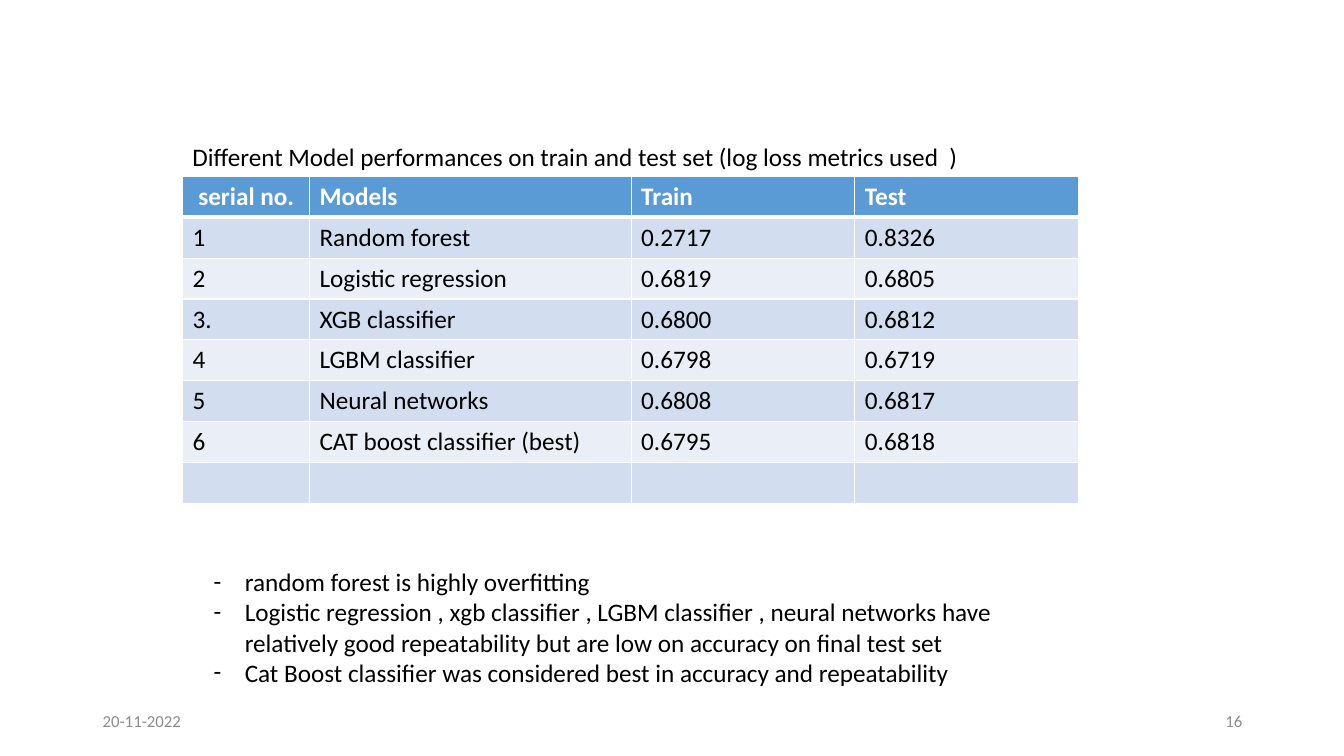
import pptx
import pptx.dml.color
import pptx.enum.text
import pptx.oxml.ns
import pptx.util
from lxml import etree

RGBColor = pptx.dml.color.RGBColor
WHITE = RGBColor(0xFF, 0xFF, 0xFF)
BLACK = RGBColor(0x00, 0x00, 0x00)
GREY = RGBColor(0x8C, 0x8C, 0x8C)
HEADER_BLUE = RGBColor(0x5B, 0x9B, 0xD5)
BAND_DARK = RGBColor(0xD2, 0xDE, 0xEF)
BAND_LIGHT = RGBColor(0xEA, 0xEF, 0xF7)

COLUMN_SHARES = [9.45, 23.93, 16.65, 16.65]
SCORES = [
    [" serial no.", "Models", "Train", "Test"],
    ["1", "Random forest", "0.2717", "0.8326"],
    ["2", "Logistic regression", "0.6819", "0.6805"],
    ["3.", "XGB classifier", "0.6800", "0.6812"],
    ["4", "LGBM classifier", "0.6798", "0.6719"],
    ["5", "Neural networks", "0.6808", "0.6817"],
    ["6", "CAT boost classifier (best)", "0.6795", "0.6818"],
    ["", "", "", ""],
]
FINDINGS = [
    "random forest is highly overfitting",
    "Logistic regression , xgb classifier , LGBM classifier , neural networks have "
    "relatively good repeatability but are low on accuracy on final test set",
    "Cat Boost classifier was considered best in accuracy and repeatability",
]


def add_xml(parent, tag, **attributes):
    return etree.SubElement(parent, pptx.oxml.ns.qn(tag), attributes)


class SlideBuilder:
    font = "Calibri"
    body_size = 18
    footer_size = 12

    def __init__(self, presentation):
        self.width = presentation.slide_width
        self.height = presentation.slide_height
        self.slide = presentation.slides.add_slide(presentation.slide_layouts[6])

    def across(self, percent):
        return round(self.width * percent / 100)

    def down(self, percent):
        return round(self.height * percent / 100)

    def area(self, left, top, width, height):
        return self.across(left), self.down(top), self.across(width), self.down(height)

    def add_words(self, paragraph, words, size, color, bold=False):
        run = paragraph.add_run()
        run.text = words
        run.font.name = self.font
        run.font.size = pptx.util.Pt(size)
        run.font.color.rgb = color
        run.font.bold = bold

    def text(self, area, lines, size=body_size, color=BLACK, align=None,
             anchor=pptx.enum.text.MSO_ANCHOR.TOP, dashed=False):
        frame = self.slide.shapes.add_textbox(*self.area(*area)).text_frame
        frame.word_wrap = True
        frame.vertical_anchor = anchor
        for index, line in enumerate(lines):
            paragraph = frame.add_paragraph() if index else frame.paragraphs[0]
            paragraph.alignment = align
            if dashed:
                self.dash(paragraph)
            self.add_words(paragraph, line, size, color)

    def dash(self, paragraph):
        indent = pptx.util.Inches(0.31)
        properties = paragraph._p.get_or_add_pPr()
        properties.set("marL", str(indent))
        properties.set("indent", str(-indent))
        add_xml(properties, "a:buFont", typeface=self.font)
        add_xml(properties, "a:buChar", char="-")

    def footer(self, left, words, align):
        self.text((left, 92.67, 22.5, 5.33), [words], self.footer_size, GREY, align,
                  pptx.enum.text.MSO_ANCHOR.MIDDLE)

    def borders(self, cell, top, bottom):
        properties = cell._tc.get_or_add_tcPr()
        for side, points in (("L", 1), ("R", 1), ("T", top), ("B", bottom)):
            line = add_xml(properties, f"a:ln{side}", w=str(pptx.util.Pt(points)))
            add_xml(add_xml(line, "a:solidFill"), "a:srgbClr", val=str(WHITE))

    def table(self, left, top, height, column_shares, rows):
        area = self.area(left, top, sum(column_shares), height)
        table = self.slide.shapes.add_table(len(rows), len(column_shares), *area).table
        for column, share in zip(table.columns, column_shares):
            column.width = self.across(share)
        for row_index, row in enumerate(rows):
            header = row_index == 0
            band = BAND_DARK if row_index % 2 else BAND_LIGHT
            for column_index, words in enumerate(row):
                cell = table.cell(row_index, column_index)
                self.borders(cell, 3 if row_index == 1 else 1, 3 if header else 1)
                cell.fill.solid()
                cell.fill.fore_color.rgb = HEADER_BLUE if header else band
                if words:
                    self.add_words(cell.text_frame.paragraphs[0], words, self.body_size,
                                   WHITE if header else BLACK, header)


def main():
    presentation = pptx.Presentation()
    presentation.slide_width = pptx.util.Inches(13.33)
    presentation.slide_height = pptx.util.Inches(7.5)
    builder = SlideBuilder(presentation)
    builder.table(13.58, 23.33, 43.2, COLUMN_SHARES, SCORES)
    builder.text((13.58, 18, 59.94, 5.33),
                 ["Different Model performances on train and test set (log loss metrics used  )"])
    builder.text((15.15, 74.27, 65.87, 17.47), FINDINGS, dashed=True)
    builder.footer(6.9, "20-11-2022", pptx.enum.text.PP_ALIGN.LEFT)
    builder.footer(70.67, "16", pptx.enum.text.PP_ALIGN.RIGHT)
    presentation.save("out.pptx")


if __name__ == "__main__":
    main()
